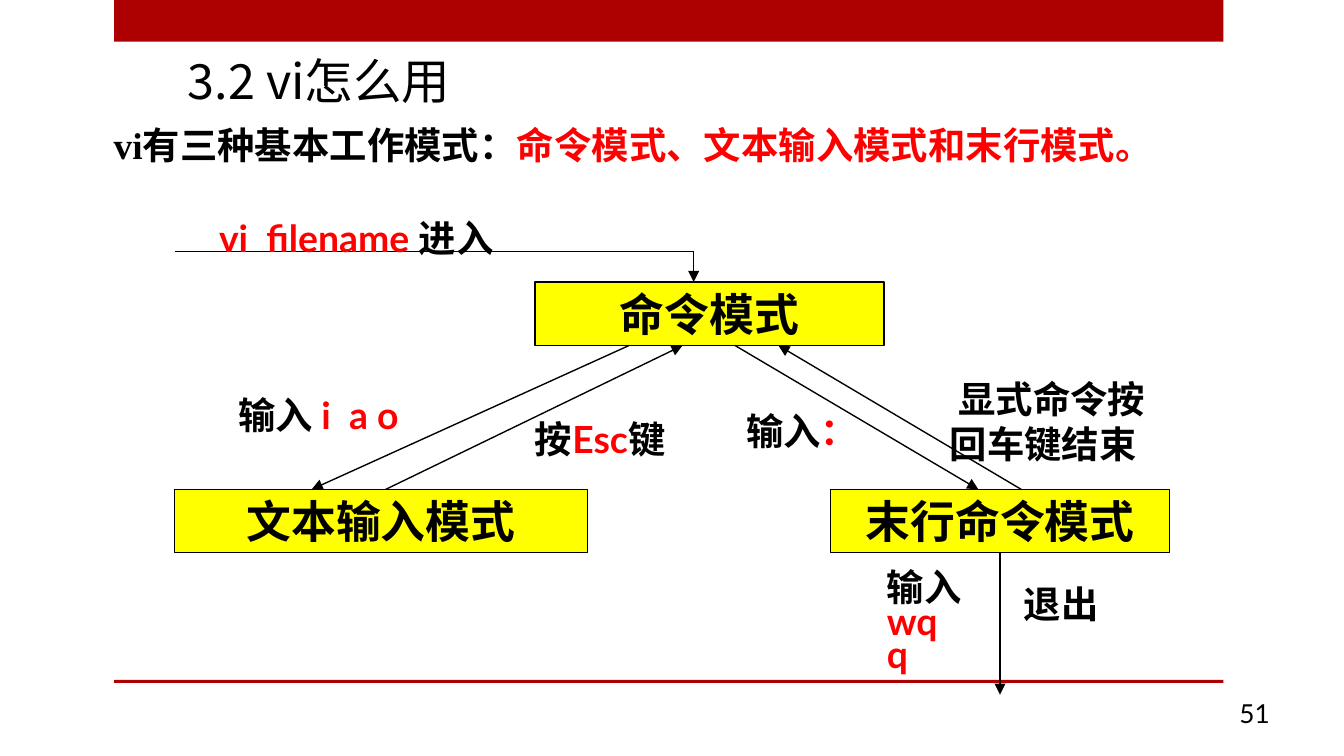
from typing import NamedTuple

from lxml.etree import SubElement as Sub
from pptx import Presentation
from pptx.dml.color import RGBColor as Rgb
from pptx.enum.shapes import MSO_CONNECTOR as Conn, MSO_SHAPE as Geo
from pptx.enum.text import MSO_ANCHOR as Anchor, PP_ALIGN as Align
from pptx.oxml.ns import qn
from pptx.util import Cm, Pt

BLACK, RED, YELLOW, BRAND = "000000", "FF0000", "FFFF00", "AD0101"
SANS, SERIF, HAN = "Lato", "Times New Roman", "Noto Sans CJK SC"


class Box(NamedTuple):
    x: float
    y: float
    w: float
    h: float

    def cm(self):
        return [Cm(v) for v in self]


class Mode(NamedTuple):
    box: Box
    name: str


class Line(NamedTuple):
    x1: float
    y1: float
    x2: float
    y2: float
    arrow: bool = True


class Label(NamedTuple):
    box: Box
    rows: list  # each row is a list of (text, colour) runs
    lead: float = 1.0


def color(code: str) -> Rgb:
    return Rgb.from_string(code)


def write(frame, rows, font=SANS, size=20, bold=True, align=Align.LEFT,
          anchor=Anchor.TOP, lead=1.0, wrap=True) -> None:
    frame.word_wrap = wrap
    frame.vertical_anchor = anchor
    for i, row in enumerate(rows):
        para = frame.paragraphs[0] if i == 0 else frame.add_paragraph()
        para.alignment = align
        para.line_spacing = lead
        for text, tone in row:
            run = para.add_run()
            run.text = text
            run.font.name = font
            run.font.size = Pt(size)
            run.font.bold = bold
            run.font.color.rgb = color(tone)
            Sub(run.font._element, qn("a:ea"), typeface=HAN)


def add_text(slide, box: Box, rows: list, **form) -> None:
    write(slide.shapes.add_textbox(*box.cm()).text_frame, rows, **form)


def add_rect(slide, box: Box, fill: str, edge: str = ""):
    rect = slide.shapes.add_shape(Geo.RECTANGLE, *box.cm())
    rect.shadow.inherit = False
    rect.fill.solid()
    rect.fill.fore_color.rgb = color(fill)
    if edge:
        rect.line.color.rgb = color(edge)
        rect.line.width = Pt(0.75)
    else:
        rect.line.fill.background()
    return rect


def add_mode(slide, mode: Mode) -> None:
    rect = add_rect(slide, mode.box, YELLOW, BLACK)
    write(rect.text_frame, [[(mode.name, BLACK)]], font=SERIF, size=24,
          align=Align.CENTER, anchor=Anchor.MIDDLE, wrap=False)


def add_line(slide, line: Line) -> None:
    ends = [Cm(v) for v in line[:4]]
    link = slide.shapes.add_connector(Conn.STRAIGHT, *ends)
    link.line.color.rgb = color(BLACK)
    link.line.width = Pt(0.75)
    if line.arrow:
        Sub(link.line._get_or_add_ln(), qn("a:tailEnd"), type="triangle")
    Sub(link._element.spPr, qn("a:effectLst"))


TOP, LOW, HIGH = 5.33, 9.25, 1.2  # upper row, lower row, box height
BASE, END = TOP + HIGH, LOW + HIGH

MODES = [
    Mode(Box(10.11, TOP, 6.6, HIGH), "命令模式"),
    Mode(Box(3.3, LOW, 7.8, HIGH), "文本输入模式"),
    Mode(Box(15.7, LOW, 6.4, HIGH), "末行命令模式"),
]

LINES = [
    Line(3.3, 4.75, 13.11, 4.75, arrow=False),
    Line(13.11, 4.75, 13.11, TOP),
    Line(11.89, BASE, 5.89, LOW),
    Line(7.29, LOW, 12.9, BASE),
    Line(13.89, BASE, 18.49, LOW),
    Line(19.3, LOW, 14.71, BASE),
    Line(18.9, END, 18.9, 13.13),
]

LABELS = [
    Label(Box(3.89, 3.94, 6.6, 1.12),
          [[("vi  filename ", RED), ("进入", BLACK)]]),
    Label(Box(4.09, 7.29, 4.39, 1.12),
          [[(" 输入 ", BLACK), ("i  a o", RED)]]),
    Label(Box(9.7, 7.75, 3.61, 1.12),
          [[(" 按", BLACK), ("Esc", RED), ("键", BLACK)]]),
    Label(Box(13.69, 7.59, 2.41, 1.12),
          [[(" 输入", BLACK), ("：", RED)]]),
    Label(Box(17.7, 6.99, 4.8, 1.96),
          [[(" 显式命令按回车键结束", BLACK)]]),
    Label(Box(16.51, 10.74, 2.01, 2.82),
          [[("输入", BLACK)], [("wq", RED)], [("q", RED)]], 0.75),
    Label(Box(19.1, 11.05, 2.01, 1.55), [[("退出", BLACK)]], 0.75),
]


def main() -> None:
    deck = Presentation()
    deck.slide_width, deck.slide_height = Cm(25.4), Cm(14.29)
    slide = deck.slides.add_slide(deck.slide_layouts[6])

    for y, h in ((0, 0.79), (12.85, 0.06)):
        add_rect(slide, Box(2.16, y, 20.96, h), BRAND)
    add_text(slide, Box(1.9, 2.18, 22.35, 1.12),
             [[("vi有三种基本工作模式：", BLACK),
               ("命令模式、文本输入模式和末行模式。", RED)]], font=SERIF)
    add_text(slide, Box(3.3, 0.84, 20.95, 1.6), [[("3.2 vi怎么用", BLACK)]],
             font=HAN, size=26, bold=False)

    for mode in MODES:
        add_mode(slide, mode)
    for line in LINES:
        add_line(slide, line)
    for label in LABELS:
        add_text(slide, label.box, label.rows, lead=label.lead)
    add_text(slide, Box(18.97, 13, 5.28, 0.97), [[("51", BLACK)]], size=14,
             bold=False, align=Align.RIGHT, anchor=Anchor.MIDDLE)
    deck.save("out.pptx")


if __name__ == "__main__":
    main()
